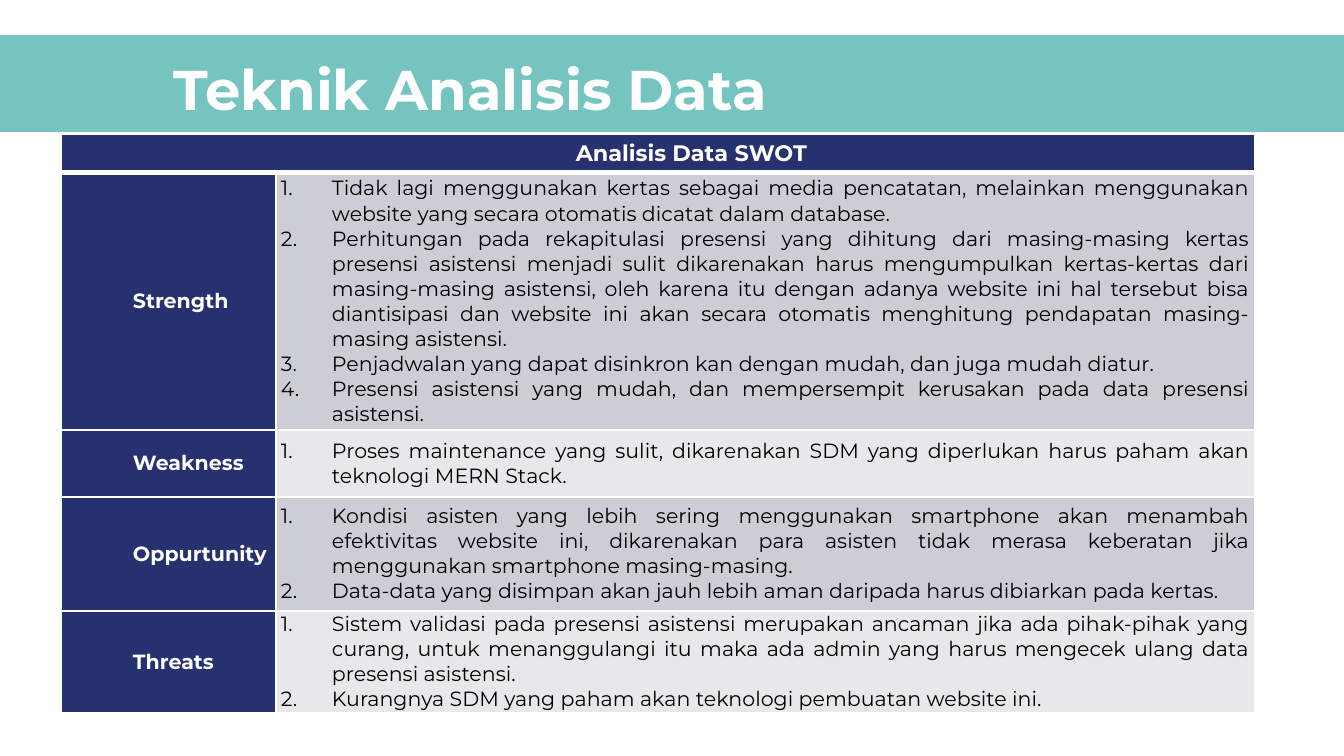
from lxml.etree import SubElement
from pptx import Presentation
from pptx.dml.color import RGBColor
from pptx.enum.shapes import MSO_SHAPE
from pptx.enum.text import MSO_ANCHOR, PP_ALIGN
from pptx.oxml import parse_xml
from pptx.oxml.ns import nsdecls, qn
from pptx.util import Emu, Pt

FONT = "Montserrat"
WHITE, BLACK = "FFFFFF", "000000"
NAVY, TEAL, GOLD, GREY = "27316F", "75C4C0", "FFC800", "D9D9D9"
BANDS = ["CDCED5", "E8E8EB"]

SWOT = [
    ("Strength", 257, [
        "Tidak lagi menggunakan kertas sebagai media pencatatan, melainkan menggunakan website yang secara otomatis dicatat dalam database.",
        "Perhitungan pada rekapitulasi presensi yang dihitung dari masing-masing kertas presensi asistensi menjadi sulit dikarenakan harus mengumpulkan kertas-kertas dari masing-masing asistensi, oleh karena itu dengan adanya website ini hal tersebut bisa diantisipasi dan website ini akan secara otomatis menghitung pendapatan masing-masing asistensi.",
        "Penjadwalan yang dapat disinkron kan dengan mudah, dan juga mudah diatur.",
        "Presensi asistensi yang mudah, dan mempersempit kerusakan pada data presensi asistensi.",
    ]),
    ("Weakness", 67, [
        "Proses maintenance yang sulit, dikarenakan SDM yang diperlukan harus paham akan teknologi MERN Stack.",
    ]),
    ("Oppurtunity", 114, [
        "Kondisi asisten yang lebih sering menggunakan smartphone akan menambah efektivitas website ini, dikarenakan para asisten tidak merasa keberatan jika menggunakan smartphone masing-masing.",
        "Data-data yang disimpan akan jauh lebih aman daripada harus dibiarkan pada kertas.",
    ]),
    ("Threats", 102, [
        "Sistem validasi pada presensi asistensi merupakan ancaman jika ada pihak-pihak yang curang, untuk menanggulangi itu maka ada admin yang harus mengecek ulang data presensi asistensi.",
        "Kurangnya SDM yang paham akan teknologi pembuatan website ini.",
    ]),
]


def px(n):
    return Emu(round(n * 914400 / 134.4))


def rgb(code):
    return RGBColor.from_string(code)


class Deck:
    def __init__(self, wide, high):
        self.prs = Presentation()
        self.prs.slide_width, self.prs.slide_height = px(wide), px(high)
        self.slide = self.prs.slides.add_slide(self.prs.slide_layouts[6])

    def shape(self, kind, x, y, w, h, color):
        item = self.slide.shapes.add_shape(kind, px(x), px(y), px(w), px(h))
        item.shadow.inherit = False
        item.fill.solid()
        item.fill.fore_color.rgb = rgb(color)
        item.line.fill.background()
        return item

    def arc(self, x, y, size, turn, start, end, thick, color):
        item = self.shape(MSO_SHAPE.BLOCK_ARC, x, y, size, size, color)
        item.rotation = turn
        for i, value in enumerate([start * 0.6, end * 0.6, thick]):
            item.adjustments[i] = value

    def style(self, para, size, color, bold, align):
        para.alignment = align
        font = para.font
        font.name, font.size, font.bold = FONT, Pt(size), bold
        font.color.rgb = rgb(color)

    def title(self, text, x, y, w, h):
        frame = self.slide.shapes.add_textbox(px(x), px(y), px(w), px(h)).text_frame
        frame.word_wrap = True
        frame.margin_left = frame.margin_right = px(13)
        frame.margin_top = frame.margin_bottom = px(13)
        frame.text = text
        self.style(frame.paragraphs[0], 30, WHITE, True, PP_ALIGN.LEFT)

    def table(self, x, y, cols, rows):
        grid = self.slide.shapes.add_table(
            len(rows), len(cols), px(x), px(y), px(sum(cols)), px(sum(rows))).table
        for col, w in zip(grid.columns, cols):
            col.width = px(w)
        for row, h in zip(grid.rows, rows):
            row.height = px(h)
        return grid

    def border(self, cell, top, bottom):
        props = cell._tc.get_or_add_tcPr()
        for side, width in zip("LRTB", [1, 1, top, bottom]):
            line = SubElement(props, qn(f"a:ln{side}"), w=str(Pt(width)))
            fill = SubElement(line, qn("a:solidFill"))
            SubElement(fill, qn("a:srgbClr"), val=WHITE)

    def cell(self, cell, lines, fill, size, color, bold, align,
             listed=False, top=1, bottom=1):
        self.border(cell, top, bottom)
        cell.fill.solid()
        cell.fill.fore_color.rgb = rgb(fill)
        cell.vertical_anchor = MSO_ANCHOR.MIDDLE
        cell.margin_left = cell.margin_right = px(5)
        cell.margin_top = cell.margin_bottom = 0
        cell.text = "\n".join(lines)
        for para in cell.text_frame.paragraphs:
            self.style(para, size, color, bold, align)
            props = para._p.get_or_add_pPr()
            props.set("marL", str(px(51) if listed else 0))
            props.set("indent", str(px(-51) if listed else px(67)))
            if listed:
                self.number(props, color)

    def number(self, props, color):
        tint = parse_xml(f'<a:buClr {nsdecls("a")}><a:srgbClr val="{color}"/></a:buClr>')
        mark = parse_xml(f'<a:buAutoNum {nsdecls("a")} type="arabicPeriod"/>')
        props.insert(0, tint)
        props.insert(1, mark)


def main():
    deck = Deck(1344, 756)
    deck.arc(1171, -161, 351, 270, 108.21, 165.56, 0.11, GOLD)
    deck.shape(MSO_SHAPE.RECTANGLE, -23, 35, 1390, 97, TEAL)
    deck.arc(-216, 636, 351, 345, 175.07, 215.56, 0.1, GREY)
    deck.title("Teknik Analisis Data", 161, 42, 1137, 85)

    grid = deck.table(61, 134, [215, 979], [39] + [high for _, high, _ in SWOT])
    head, rest = grid.cell(0, 0), grid.cell(0, 1)
    head.merge(rest)
    deck.border(rest, 1, 3)
    deck.cell(head, ["Analisis Data SWOT"], NAVY, 12, WHITE, True,
              PP_ALIGN.CENTER, bottom=3)
    for i, (name, _, points) in enumerate(SWOT):
        top = 1 if i else 3
        deck.cell(grid.cell(i + 1, 0), [name], NAVY, 11, WHITE, True,
                  PP_ALIGN.JUSTIFY, top=top)
        deck.cell(grid.cell(i + 1, 1), points, BANDS[i % 2], 11, BLACK, False,
                  PP_ALIGN.JUSTIFY, listed=True, top=top)
    deck.prs.save("out.pptx")


if __name__ == "__main__":
    main()
